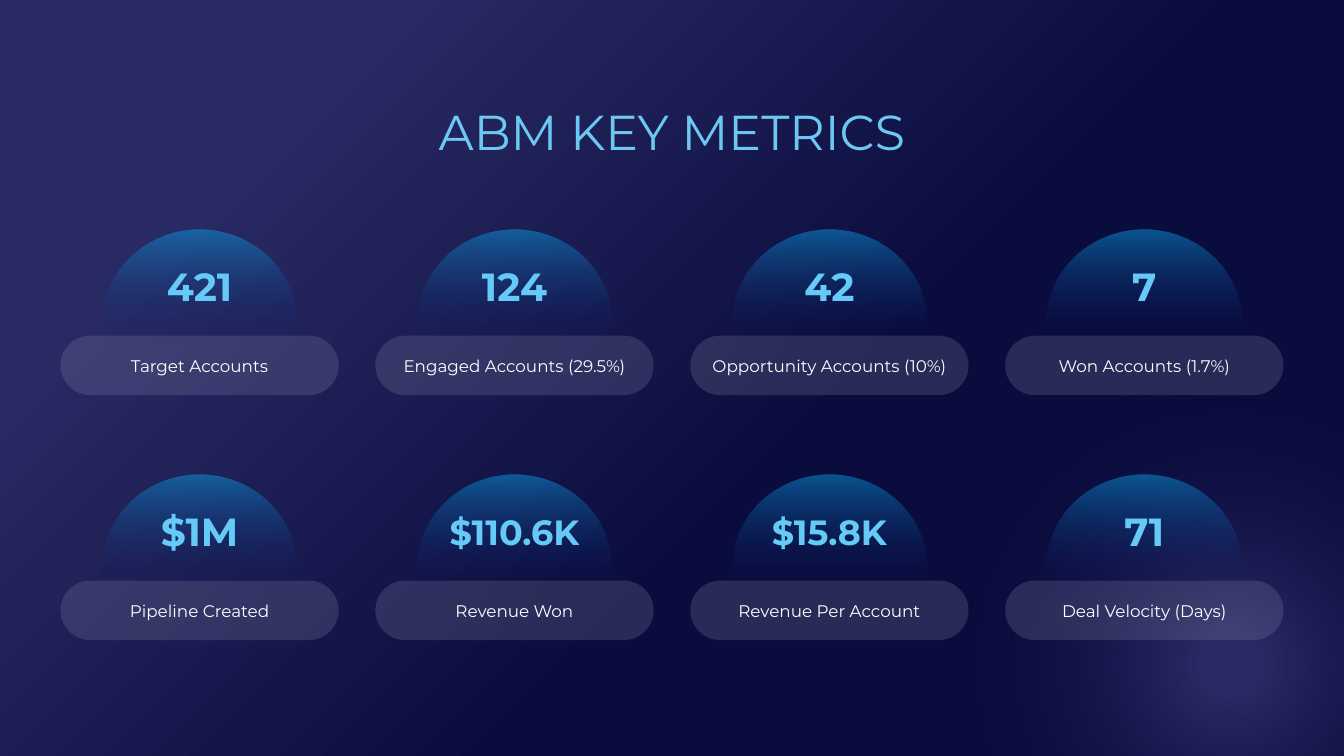
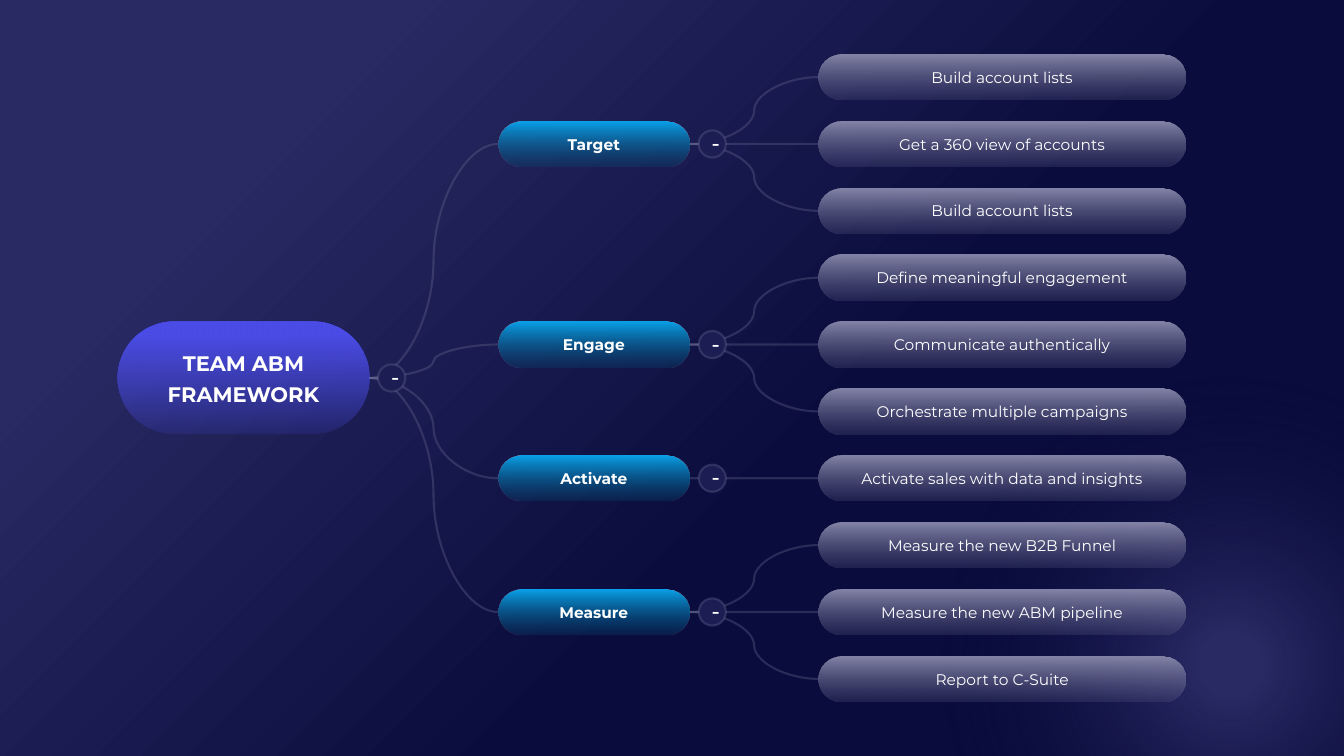
"""Build two slides on account-based marketing: key metrics and the team framework."""
from lxml import etree
from pptx import Presentation
from pptx.dml import color
from pptx.enum import shapes, text
from pptx.oxml import ns
from pptx.util import Inches, Pt

FONT = "Montserrat"
WHITE, SKY, BLUE, INDIGO = "FFFFFF", "66CAF9", "0AA3EB", "4A4CE5"
VIOLET, NAVY, GREY = "292A63", "0A0C3D", "8485A8"


def paint(fill, element, colour, opacity=100, angle=None, center=None):
    """Paint the newest fill in element with a hex colour or (position, hex, opacity) stops."""
    if isinstance(colour, str):
        fill.solid()
        fill.fore_color.rgb = color.RGBColor.from_string(colour)
        if opacity < 100:
            rgb = list(element.iter(ns.qn("a:srgbClr")))[-1]
            etree.SubElement(rgb, ns.qn("a:alpha"), val=str(opacity * 1000))
        return
    fill.gradient()
    gradient = list(element.iter(ns.qn("a:gradFill")))[-1]
    for child in list(gradient):
        gradient.remove(child)
    stops = etree.SubElement(gradient, ns.qn("a:gsLst"))
    for position, value, alpha in colour:
        stop = etree.SubElement(stops, ns.qn("a:gs"), pos=str(position * 1000))
        rgb = etree.SubElement(stop, ns.qn("a:srgbClr"), val=value)
        if alpha < 100:
            etree.SubElement(rgb, ns.qn("a:alpha"), val=str(alpha * 1000))
    if center:
        circle = etree.SubElement(gradient, ns.qn("a:path"), path="circle")
        edges = {side: str(percent * 1000) for side, percent in zip("ltrb", center)}
        etree.SubElement(circle, ns.qn("a:fillToRect"), **edges)
    else:
        etree.SubElement(gradient, ns.qn("a:lin"), ang=str(angle * 60000), scaled="0")


def write(shape, content, size, colour=WHITE, font=FONT, bold=False, insets=(0.1, 0.05, 0.1, 0.05),
          anchor=text.MSO_ANCHOR.MIDDLE, wrap=True, spacing=None, **gradient):
    """Write centred text into a shape with the given format."""
    frame = shape.text_frame
    frame.word_wrap = wrap
    frame.vertical_anchor = anchor
    frame.margin_left, frame.margin_top, frame.margin_right, frame.margin_bottom = map(Inches, insets)
    paragraph = frame.paragraphs[0]
    paragraph.alignment = text.PP_ALIGN.CENTER
    if spacing:
        paragraph.line_spacing = Pt(spacing)
    run = paragraph.add_run()
    run.text = content
    run.font.name, run.font.size, run.font.bold = font, Pt(size), bold
    paint(run.font.fill, shape.element, colour, **gradient)


presentation = Presentation()
presentation.slide_width, presentation.slide_height = Inches(13.33), Inches(7.5)
master = presentation.slide_master
title_only, blank = presentation.slide_layouts[5], presentation.slide_layouts[6]
ELLIPSE, PILL = shapes.MSO_SHAPE.OVAL, shapes.MSO_SHAPE.ROUNDED_RECTANGLE

metrics_slide = presentation.slides.add_slide(title_only)
framework_slide = presentation.slides.add_slide(blank)

paint(master.background.fill, master.element, [(19, VIOLET, 100), (60, NAVY, 100)],
      center=(0, 0, 100, 100))
glow = metrics_slide.shapes.add_shape(ELLIPSE, Inches(9.35), Inches(3.75), Inches(5.7), Inches(5.68))
glow.shadow.inherit = False
glow.line.fill.background()
paint(glow.fill, glow.element, [(8, VIOLET, 100), (71, NAVY, 0)], center=(50, 50, 50, 50))
master.shapes.element.append(glow.element)

title = metrics_slide.shapes.title
title.left, title.top, title.width, title.height = map(Inches, (4.23, 0.96, 4.87, 0.69))
write(title, "ABM KEY METRICS", 35, [(0, "6CC8F3", 100), (64, BLUE, 100)],
      anchor=text.MSO_ANCHOR.TOP, wrap=False, center=(0, 0, 100, 100))
title.text_frame.auto_size = text.MSO_AUTO_SIZE.SHAPE_TO_FIT_TEXT

metrics = [
    ("421", "Target Accounts"),
    ("124", "Engaged Accounts (29.5%)"),
    ("42", "Opportunity Accounts (10%)"),
    ("7", "Won Accounts (1.7%)"),
    ("$1M", "Pipeline Created"),
    ("$110.6K", "Revenue Won"),
    ("$15.8K", "Revenue Per Account"),
    ("71", "Deal Velocity (Days)"),
]
COLUMNS, LABEL_WIDTH, DOME_WIDTH = 4, 2.76, 1.93
column_step = (9.97 - 0.6) / (COLUMNS - 1)
for index, (value, label) in enumerate(metrics):
    row, column = divmod(index, COLUMNS)
    left, top = 0.6 + column * column_step, 2.28 + row * 2.43
    dome_left = left + (LABEL_WIDTH - DOME_WIDTH) / 2
    dome = metrics_slide.shapes.add_shape(
        ELLIPSE, Inches(dome_left), Inches(top), Inches(DOME_WIDTH), Inches(1.82))
    paint(dome.fill, dome.element, [(37, "0C0D54", 0), (100, BLUE, 48)], angle=270)
    long_value = len(value) > 3
    side = 0 if long_value else 0.1
    write(dome, value, 25 if long_value else 28, [(0, SKY, 100), (100, INDIGO, 100)],
          bold=True, insets=(side, 0.1, side, 0.8), angle=90)
    pill = metrics_slide.shapes.add_shape(
        PILL, Inches(left), Inches(top + 1.05), Inches(LABEL_WIDTH), Inches(0.59))
    pill.adjustments[0] = 0.5
    paint(pill.fill, pill.element, GREY, opacity=25)
    write(pill, label, 12, insets=(0.1, 0.1, 0.1, 0.1))
    for shape in (dome, pill):
        shape.shadow.inherit = False
        shape.line.fill.background()

branches = {
    "Target": ["Build account lists", "Get a 360 view of accounts", "Build account lists"],
    "Engage": ["Define meaningful engagement", "Communicate authentically",
               "Orchestrate multiple campaigns"],
    "Activate": ["Activate sales with data and insights"],
    "Measure": ["Measure the new B2B Funnel", "Measure the new ABM pipeline", "Report to C-Suite"],
}
ROOT_LEFT, ROOT_WIDTH, ROOT_MIDDLE = 1.17, 2.49, 3.75
BRANCH_LEFT, BRANCH_WIDTH = 4.94, 1.9
LEAF_LEFT, LEAF_WIDTH = 8.12, 3.64
NODE_HEIGHT, TOGGLE_SIZE = 0.45, 0.27
root_right, branch_right = ROOT_LEFT + ROOT_WIDTH, BRANCH_LEFT + BRANCH_WIDTH
leaf_step = (6.51 - 0.54) / (sum(map(len, branches.values())) - 1)

root_stops = [(0, INDIGO, 15), (88, INDIGO, 100)]
branch_stops = [(0, "055175", 25), (100, BLUE, 100)]
leaf_stops = [(0, "5D5E84", 25), (100, GREY, 100)]
nodes = [("TEAM ABM FRAMEWORK", ROOT_LEFT, ROOT_MIDDLE, ROOT_WIDTH, 1.11, root_stops,
          {"size": 15, "bold": True, "spacing": 22, "insets": (0, 0, 0, 0.05)})]
links, toggles = [], [(root_right, ROOT_MIDDLE)]
first_middle = 0.54 + NODE_HEIGHT / 2
for branch, leaves in branches.items():
    branch_middle = first_middle + (len(leaves) - 1) / 2 * leaf_step
    nodes.append((branch, BRANCH_LEFT, branch_middle, BRANCH_WIDTH, NODE_HEIGHT, branch_stops,
                  {"size": 11, "bold": True, "insets": (0, 0.05, 0, 0.05)}))
    links.append((root_right, ROOT_MIDDLE, BRANCH_LEFT, branch_middle))
    toggles.append((branch_right, branch_middle))
    for index, leaf in enumerate(leaves):
        leaf_middle = first_middle + index * leaf_step
        nodes.append((leaf, LEAF_LEFT, leaf_middle, LEAF_WIDTH, NODE_HEIGHT, leaf_stops,
                      {"size": 11, "insets": (0, 0.05, 0, 0.05)}))
        links.append((branch_right, branch_middle, LEAF_LEFT, leaf_middle))
    first_middle += len(leaves) * leaf_step

for start_x, start_y, end_x, end_y in links:
    level = abs(start_y - end_y) < 0.01
    kind = shapes.MSO_CONNECTOR.STRAIGHT if level else shapes.MSO_CONNECTOR.CURVE
    connector = framework_slide.shapes.add_connector(
        kind, Inches(start_x), Inches(start_y), Inches(end_x), Inches(end_y))
    connector.line.width = Pt(1.5)
    paint(connector.line.fill, connector.element, GREY, opacity=25)
    etree.SubElement(connector.element.spPr, ns.qn("a:effectLst"))

for label, left, middle, width, height, stops, style in nodes:
    node = framework_slide.shapes.add_shape(
        PILL, Inches(left), Inches(middle - height / 2), Inches(width), Inches(height))
    node.adjustments[0] = 0.5
    node.shadow.inherit = False
    node.line.fill.background()
    paint(node.fill, node.element, stops, angle=270)
    write(node, label, **style)

for edge, middle in toggles:
    toggle = framework_slide.shapes.add_shape(
        ELLIPSE, Inches(edge + 0.09), Inches(middle - TOGGLE_SIZE / 2),
        Inches(TOGGLE_SIZE), Inches(TOGGLE_SIZE))
    toggle.shadow.inherit = False
    paint(toggle.fill, toggle.element, "1C1D53")
    toggle.line.width = Pt(1.5)
    paint(toggle.line.fill, toggle.element.spPr, GREY, opacity=25)
    write(toggle, "-", 18, font="Calibri", insets=(0.1, 0.05, 0.1, 0.08))

presentation.save("out.pptx")
